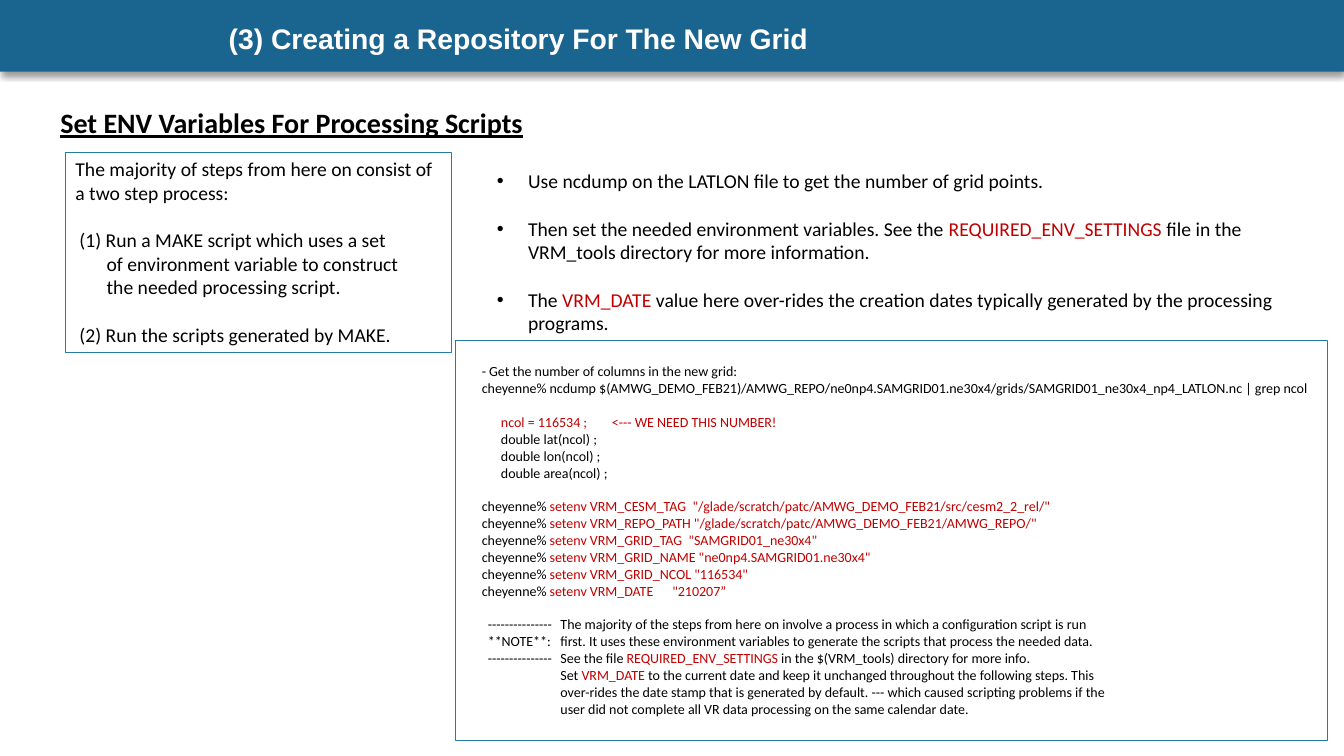
"""Build the slide on environment variables for the grid processing scripts."""
from dataclasses import dataclass

from lxml.etree import SubElement
from pptx import Presentation
from pptx.dml.color import RGBColor
from pptx.enum.shapes import MSO_SHAPE
from pptx.enum.text import MSO_ANCHOR, PP_ALIGN
from pptx.oxml.ns import qn
from pptx.util import Inches, Pt

BLACK = RGBColor(0x00, 0x00, 0x00)
WHITE = RGBColor(0xFF, 0xFF, 0xFF)
RED = RGBColor(0xC0, 0x00, 0x00)
BANNER_BLUE = RGBColor(0x1A, 0x65, 0x8F)
BORDER_BLUE = RGBColor(0x27, 0x7D, 0xA1)
ACCENT_MARK = "^"
LINE_HEIGHT = 1.22


@dataclass(frozen=True)
class Line:
    """One paragraph, where text between accent marks is red."""
    text: str
    start: float = 0
    hang: float | None = None
    gap: bool = False
    bullet: bool = False


@dataclass(frozen=True)
class Panel:
    """A text area with its place, type style and lines."""
    left: float
    top: float
    width: float
    height: float
    size: float
    lines: tuple[Line, ...]
    font: str = "Calibri"
    color: RGBColor = BLACK
    heading: bool = False
    underline: bool = False
    bordered: bool = False
    inset_top: float = 0.05
    anchor: MSO_ANCHOR = MSO_ANCHOR.TOP


def command(setting: str, hang: float | None = None, gap: bool = False) -> Line:
    """Return a prompt line with a red setenv command."""
    return Line(f"cheyenne% ^setenv {setting}^", 0.16, hang, gap)


def step(text: str, start: float = 0.31, gap: bool = False) -> Line:
    """Return one line of the two numbered steps."""
    return Line(text, start, 0.31, gap)


def note(text: str, start: float = 0.94, gap: bool = False) -> Line:
    """Return one line of the note with its label column."""
    return Line(text, start, 0.94, gap)


def point(text: str, gap: bool = True) -> Line:
    """Return one bulleted point."""
    return Line(text, 0, 0.31, gap, True)


TITLE = Panel(2.17, 0.17, 9, 0.41, 20.2,
              (Line("(3) Creating a Repository For The New Grid"),),
              font="Arial", color=WHITE, heading=True, anchor=MSO_ANCHOR.MIDDLE)

TERMINAL = Panel(4.52, 3.38, 8.65, 3.97, 10, (
    Line("- Get the number of columns in the new grid:", 0.16),
    Line("cheyenne% ncdump $(AMWG_DEMO_FEB21)/AMWG_REPO/ne0np4.SAMGRID01.ne30x4/"
         "grids/SAMGRID01_ne30x4_np4_LATLON.nc | grep ncol", 0.16),
    Line("^ncol = 116534 ;\t<--- WE NEED THIS NUMBER!^", 0.35, 1.45, True),
    Line("double lat(ncol) ;", 0.35),
    Line("double lon(ncol) ;", 0.35),
    Line("double area(ncol) ;", 0.35),
    command('VRM_CESM_TAG  "/glade/scratch/patc/AMWG_DEMO_FEB21/src/cesm2_2_rel/"',
            gap=True),
    command('VRM_REPO_PATH "/glade/scratch/patc/AMWG_DEMO_FEB21/AMWG_REPO/"'),
    command('VRM_GRID_TAG  "SAMGRID01_ne30x4"'),
    command('VRM_GRID_NAME "ne0np4.SAMGRID01.ne30x4"'),
    command('VRM_GRID_NCOL "116534"'),
    command('VRM_DATE\t"210207”', hang=2.05),
    note("---------------\tThe majority of the steps from here on involve a process "
         "in which a configuration script is run", 0.22, True),
    note("**NOTE**:\tfirst. It uses these environment variables to generate "
         "the scripts that process the needed data.", 0.22),
    note("---------------\tSee the file ^REQUIRED_ENV_SETTINGS^ in the $(VRM_tools) "
         "directory for more info.", 0.22),
    note("Set ^VRM_DATE^ to the current date and keep it unchanged throughout "
         "the following steps. This"),
    note("over-rides the date stamp that is generated by default. --- which caused "
         "scripting problems if the"),
    note("user did not complete all VR data processing on the same calendar date."),
), bordered=True, inset_top=0.22)

PROCESS = Panel(0.65, 1.51, 3.83, 1.99, 14, (
    Line("The majority of steps from here on consist of a two step process:"),
    step("(1) Run a MAKE script which uses a set", 0.04, True),
    step("of environment variable to construct"),
    step("the needed processing script."),
    step("(2) Run the scripts generated by MAKE.", 0.04, True),
), bordered=True)

POINTS = Panel(4.83, 1.63, 7.96, 1.75, 14, (
    point("Use ncdump on the LATLON file to get the number of grid points.", False),
    point("Then set the needed environment variables. See the "
          "^REQUIRED_ENV_SETTINGS^ file in the VRM_tools directory "
          "for more information."),
    point("The ^VRM_DATE^ value here over-rides the creation dates typically "
          "generated by the processing programs."),
))

HEADING = Panel(0.5, 1, 4.92, 0.44, 20,
                (Line("Set ENV Variables For Processing Scripts"),),
                heading=True, underline=True)


def draw_banner(slide, width: int) -> None:
    """Draw the title band with its soft shadow below."""
    banner = slide.shapes.add_shape(MSO_SHAPE.RECTANGLE, 0, 0, width, Inches(0.71))
    banner.fill.solid()
    banner.fill.fore_color.rgb = BANNER_BLUE
    banner.line.fill.background()
    banner.shadow.inherit = False
    effects = banner.element.spPr.find(qn("a:effectLst"))
    shadow = SubElement(effects, qn("a:outerShdw"), blurRad=str(Pt(4)),
                        dist=str(Pt(3)), dir="5400000", rotWithShape="0")
    shade = SubElement(shadow, qn("a:srgbClr"), val=str(BLACK))
    SubElement(shade, qn("a:alpha"), val="40000")


def write_line(paragraph, line: Line, panel: Panel) -> None:
    """Write one line with its indents, spacing and red parts."""
    margin = line.start if line.hang is None else line.hang
    properties = paragraph._p.get_or_add_pPr()
    properties.set("marL", str(Inches(margin)))
    properties.set("indent", str(Inches(line.start - margin)))
    paragraph.alignment = PP_ALIGN.LEFT
    if line.gap:
        paragraph.space_before = Pt(round(panel.size * LINE_HEIGHT, 1))
    if line.bullet:
        bullet_color = SubElement(properties, qn("a:buClr"))
        SubElement(bullet_color, qn("a:srgbClr"), val=str(BLACK))
        SubElement(properties, qn("a:buFont"), typeface="Arial")
        SubElement(properties, qn("a:buChar"), char="•")
    for position, part in enumerate(line.text.split(ACCENT_MARK)):
        if not part:
            continue
        run = paragraph.add_run()
        run.text = part
        run.font.name = panel.font
        run.font.size = Pt(panel.size)
        run.font.bold = panel.heading
        run.font.underline = panel.underline
        run.font.color.rgb = RED if position % 2 else panel.color


def draw_panel(slide, panel: Panel) -> None:
    """Draw one text area, with a border where it has one."""
    place = [Inches(n) for n in (panel.left, panel.top, panel.width, panel.height)]
    if panel.bordered:
        area = slide.shapes.add_shape(MSO_SHAPE.RECTANGLE, *place)
        area.fill.background()
        area.line.color.rgb = BORDER_BLUE
        area.line.width = Pt(0.75)
        area.shadow.inherit = False
    else:
        area = slide.shapes.add_textbox(*place)
    frame = area.text_frame
    frame.word_wrap = True
    frame.vertical_anchor = panel.anchor
    frame.margin_top = Inches(panel.inset_top)
    for index, line in enumerate(panel.lines):
        paragraph = frame.add_paragraph() if index else frame.paragraphs[0]
        write_line(paragraph, line, panel)


def main() -> None:
    """Build and save the slide."""
    deck = Presentation()
    deck.slide_width, deck.slide_height = Inches(13.33), Inches(7.5)
    slide = deck.slides.add_slide(deck.slide_layouts[6])
    draw_banner(slide, deck.slide_width)
    for panel in (TITLE, TERMINAL, PROCESS, POINTS, HEADING):
        draw_panel(slide, panel)
    deck.save("out.pptx")


if __name__ == "__main__":
    main()
